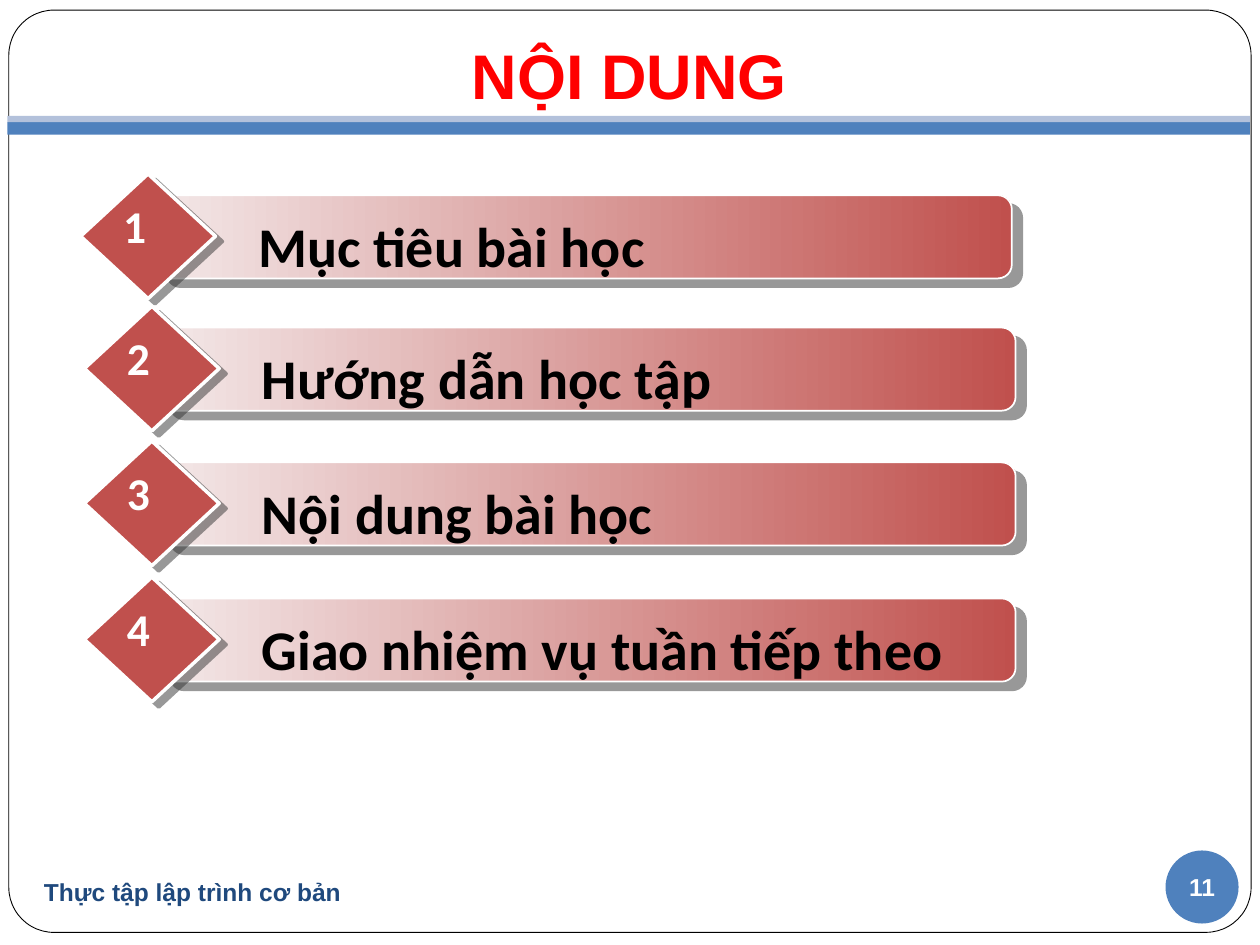
from lxml import etree
from pptx import Presentation
from pptx.dml.color import RGBColor
from pptx.enum import shapes, text
from pptx.oxml import ns
from pptx.util import Inches, Pt

KIND = shapes.MSO_SHAPE
ALIGN = text.PP_ALIGN
ANCHOR = text.MSO_ANCHOR
RED, BLUE, WHITE, BLACK = "C0504D", "4F81BD", "FFFFFF", "000000"


def rgb(code):
    """Turn a hex string into a colour."""
    return RGBColor.from_string(code)


def write(shape, words, size, color, font="Arial", align=ALIGN.LEFT,
          anchor=ANCHOR.TOP, wrap=True):
    """Set and format one bold line of text."""
    frame = shape.text_frame
    frame.text = words
    frame.word_wrap = wrap
    frame.auto_size = text.MSO_AUTO_SIZE.NONE
    frame.vertical_anchor = anchor
    line = frame.paragraphs[0]
    line.alignment = align
    face = line.runs[0].font
    face.name, face.size, face.bold = font, Pt(size), True
    face.color.rgb = rgb(color)


def box(owner, kind, place, fill, line=None, width=1):
    """Add a flat preset shape."""
    shape = owner.shapes.add_shape(kind, *map(Inches, place))
    shape.shadow.inherit = False
    shape.fill.solid()
    shape.fill.fore_color.rgb = rgb(fill)
    if line:
        shape.line.color.rgb = rgb(line)
        shape.line.width = Pt(width)
    else:
        shape.line.fill.background()
    return shape


def label(owner, place, words, size, color, **style):
    """Add a text box."""
    shape = owner.shapes.add_textbox(*map(Inches, place))
    write(shape, words, size, color, **style)


def shade(shape, dist, angle):
    """Give a shape a hard, half-clear grey shadow."""
    effects = shape.element.spPr.find(ns.qn("a:effectLst"))
    outer = etree.SubElement(
        effects, ns.qn("a:outerShdw"), dist=str(Pt(dist)),
        dir=str(angle * 60000), algn="ctr", rotWithShape="0")
    color = etree.SubElement(outer, ns.qn("a:srgbClr"), val="333333")
    etree.SubElement(color, ns.qn("a:alpha"), val="50000")


def blend(shape, *colors):
    """Fill a shape with a left-to-right gradient."""
    shape.fill.gradient()
    shape.fill.gradient_angle = 0
    for stop, color in zip(shape.fill.gradient_stops, colors):
        stop.color.rgb = rgb(color)


def item(slide, left, top, number, words):
    """Add one numbered bar with its diamond."""
    group = slide.shapes.add_group_shape()
    bar = box(group, KIND.ROUNDED_RECTANGLE,
              (left + 0.6, top + 0.17, 6.79, 0.66), RED, WHITE)
    bar.adjustments[0] = 0.167
    blend(bar, "F3E8E8", RED)
    shade(bar, 7.8, 40)
    gem = box(group, KIND.DIAMOND, (left, top, 1.07, 0.99), RED, WHITE, 2)
    shade(gem, 5, 37)
    label(group, (left + 1.31, top + 0.25, 6.08, 0.64), words, 32, BLACK,
          font="Calibri")
    label(group, (left + 0.24, top + 0.14, 0.4, 0.54), str(number), 26, WHITE,
          font="Calibri", wrap=False)


def frame(slide):
    """Add the border and the two rules under the title."""
    edge = box(slide, KIND.ROUNDED_RECTANGLE, (0.07, 0.08, 9.86, 7.32),
               WHITE, BLACK, 0.5)
    edge.adjustments[0] = 0.049
    box(slide, KIND.RECTANGLE, (0.06, 0.97, 9.86, 0.1), BLUE)
    box(slide, KIND.RECTANGLE, (0.06, 0.92, 9.86, 0.05), "B3C1DB")


def head(slide, words):
    """Format the title and bring it in front of the border."""
    title = slide.shapes.title
    title.left, title.top, title.width, title.height = map(
        Inches, (0.33, 0.07, 9.33, 0.92))
    write(title, words, 36, "FF0000", align=ALIGN.CENTER,
          anchor=ANCHOR.BOTTOM)
    title.text_frame.margin_bottom = Inches(0.1)
    title.element.getparent().append(title.element)


def foot(slide, words, number):
    """Add the course name and the page badge."""
    badge = box(slide, KIND.OVAL, (9.25, 6.75, 0.58, 0.58), BLUE)
    write(badge, number, 14, WHITE, align=ALIGN.CENTER,
          anchor=ANCHOR.MIDDLE, wrap=False)
    body = badge.text_frame
    body.margin_left = body.margin_right = 0
    body.margin_top = body.margin_bottom = 0
    label(slide, (0.25, 6.83, 4.08, 0.5), words, 14, "1F497D",
          anchor=ANCHOR.MIDDLE)


def main():
    """Build the contents slide."""
    deck = Presentation()
    deck.slide_width, deck.slide_height = Inches(10), Inches(7.5)
    slide = deck.slides.add_slide(deck.slide_layouts[5])
    frame(slide)
    head(slide, "NỘI DUNG")
    foot(slide, "Thực tập lập trình cơ bản", "11")
    items = [
        (0.64, 1.38, "Mục tiêu bài học"),
        (0.67, 2.43, "Hướng dẫn học tập"),
        (0.67, 3.5, "Nội dung bài học"),
        (0.67, 4.58, "Giao nhiệm vụ tuần tiếp theo"),
    ]
    for number, (left, top, words) in enumerate(items, 1):
        item(slide, left, top, number, words)
    deck.save("out.pptx")


if __name__ == "__main__":
    main()
